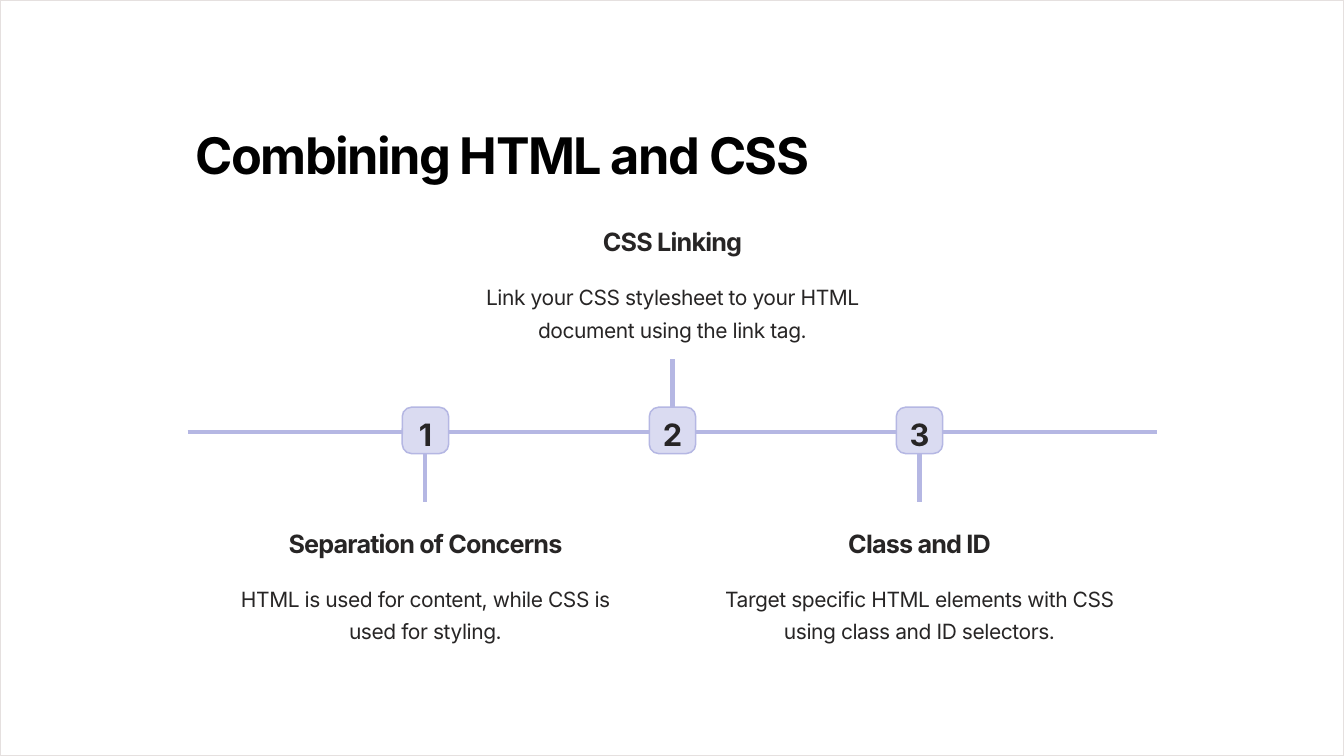
from lxml.etree import SubElement
from pptx import Presentation
from pptx.dml.color import RGBColor
from pptx.enum.shapes import MSO_CONNECTOR as Connector, MSO_SHAPE as Shape
from pptx.enum.text import MSO_ANCHOR as Anchor, MSO_AUTO_SIZE as AutoSize, PP_ALIGN as Align
from pptx.oxml.ns import qn
from pptx.util import Inches, Pt

COLORS = {
    "background": "FFFFFF",
    "border": "E5E0DF",
    "title": "000000",
    "text": "272525",
    "line": "B5B7E3",
    "badge": "DADBF1",
}
FONT = "Inter"
SLIDE_W, SLIDE_H = 13.33, 7.5
BADGE_SIZE = 0.46
STEM_LENGTH = 0.48
CAPTION_W, CAPTION_H, CAPTION_GAP = 4.3, 1.17, 0.2
HEADING_H, DETAIL_OFFSET = 0.32, 0.52
TOP, BOTTOM = 0, 2  # connection sites of a rectangle

STEPS = [
    ("Separation of Concerns",
     "HTML is used for content, while CSS is used for styling.", BOTTOM),
    ("CSS Linking",
     "Link your CSS stylesheet to your HTML document using the link tag.", TOP),
    ("Class and ID",
     "Target specific HTML elements with CSS using class and ID selectors.", BOTTOM),
]


def color(name):
    return RGBColor.from_string(COLORS[name])


def write(shape, text, size, leading, spacing, bold=True, ink="text",
          align=Align.CENTER, insets=(0.08, 0.04)):
    """Fill a shape with one top-anchored paragraph; spacing is in points."""
    frame = shape.text_frame
    frame.auto_size = AutoSize.NONE
    frame.word_wrap = True
    frame.vertical_anchor = Anchor.TOP
    frame.margin_left = frame.margin_right = Inches(insets[0])
    frame.margin_top = frame.margin_bottom = Inches(insets[1])
    paragraph = frame.paragraphs[0]
    paragraph.alignment = align
    paragraph.line_spacing = Pt(leading)
    paragraph.space_before = Pt(0)
    run = paragraph.add_run()
    run.text = text
    run.font.name = FONT
    run.font.size = Pt(size)
    run.font.bold = bold
    run.font.color.rgb = color(ink)
    run._r.get_or_add_rPr().set("spc", str(round(spacing * 100)))


def add_box(slide, kind, x, y, w, h, fill, outline):
    box = slide.shapes.add_shape(kind, Inches(x), Inches(y), Inches(w), Inches(h))
    box.shadow.inherit = False
    box.fill.solid()
    box.fill.fore_color.rgb = color(fill)
    box.line.color.rgb = color(outline)
    box.line.width = Pt(1.09)
    return box


def add_line(slide, x1, y1, x2, y2):
    line = slide.shapes.add_connector(
        Connector.STRAIGHT, Inches(x1), Inches(y1), Inches(x2), Inches(y2))
    line.line.color.rgb = color("line")
    line.line.width = Pt(2.9)
    SubElement(line._element.spPr, qn("a:effectLst"))
    return line


def add_title(slide, x, y, w, h):
    title = slide.shapes.title
    title.left, title.top = Inches(x), Inches(y)
    title.width, title.height = Inches(w), Inches(h)
    write(title, "Combining HTML and CSS", 36, 45.6, -1.1,
          ink="title", align=Align.LEFT)


def add_caption(slide, x, y, w, h, heading, detail):
    heading_box = slide.shapes.add_textbox(
        Inches(x), Inches(y), Inches(w), Inches(HEADING_H))
    write(heading_box, heading, 18, 22.8, -0.6)
    detail_box = slide.shapes.add_textbox(
        Inches(x), Inches(y + DETAIL_OFFSET), Inches(w), Inches(h - DETAIL_OFFSET))
    write(detail_box, detail, 15, 23.3, -0.3, bold=False)


def add_step(slide, center_x, center_y, number, heading, detail, side):
    """Place a numbered badge with its stem and caption above or below it."""
    half = BADGE_SIZE / 2
    badge = add_box(slide, Shape.ROUNDED_RECTANGLE, center_x - half, center_y - half,
                    BADGE_SIZE, BADGE_SIZE, "badge", "line")
    badge.adjustments[0] = 0.2
    write(badge, str(number), 22, 27.3, -0.3, insets=(0, 0.05))

    reach = half + STEM_LENGTH
    if side == TOP:
        tip_y = center_y - reach
        caption_y = tip_y - CAPTION_GAP - CAPTION_H
    else:
        tip_y = center_y + reach
        caption_y = tip_y + CAPTION_GAP
    stem = add_line(slide, center_x, center_y, center_x, tip_y)
    stem.begin_connect(badge, side)
    add_caption(slide, center_x - CAPTION_W / 2, caption_y, CAPTION_W, CAPTION_H,
                heading, detail)


def add_timeline(slide, x, y, w, pitch):
    add_line(slide, x, y + 0.02, x + w, y + 0.02)
    first_x = x + w / 2 - pitch * (len(STEPS) - 1) / 2
    for index, (heading, detail, side) in enumerate(STEPS):
        add_step(slide, first_x + index * pitch, y, index + 1, heading, detail, side)


def main():
    deck = Presentation()
    deck.slide_width, deck.slide_height = Inches(SLIDE_W), Inches(SLIDE_H)
    slide = deck.slides.add_slide(deck.slide_layouts.get_by_name("Title Only"))
    frame = add_box(slide, Shape.RECTANGLE, 0, 0, SLIDE_W, SLIDE_H, "background", "border")
    slide.shapes._spTree.insert(2, frame._element)  # behind the title
    add_title(slide, 1.86, 1.16, 7, 0.63)
    add_timeline(slide, 1.86, 4.27, 9.62, 2.45)
    deck.save("out.pptx")


if __name__ == "__main__":
    main()
